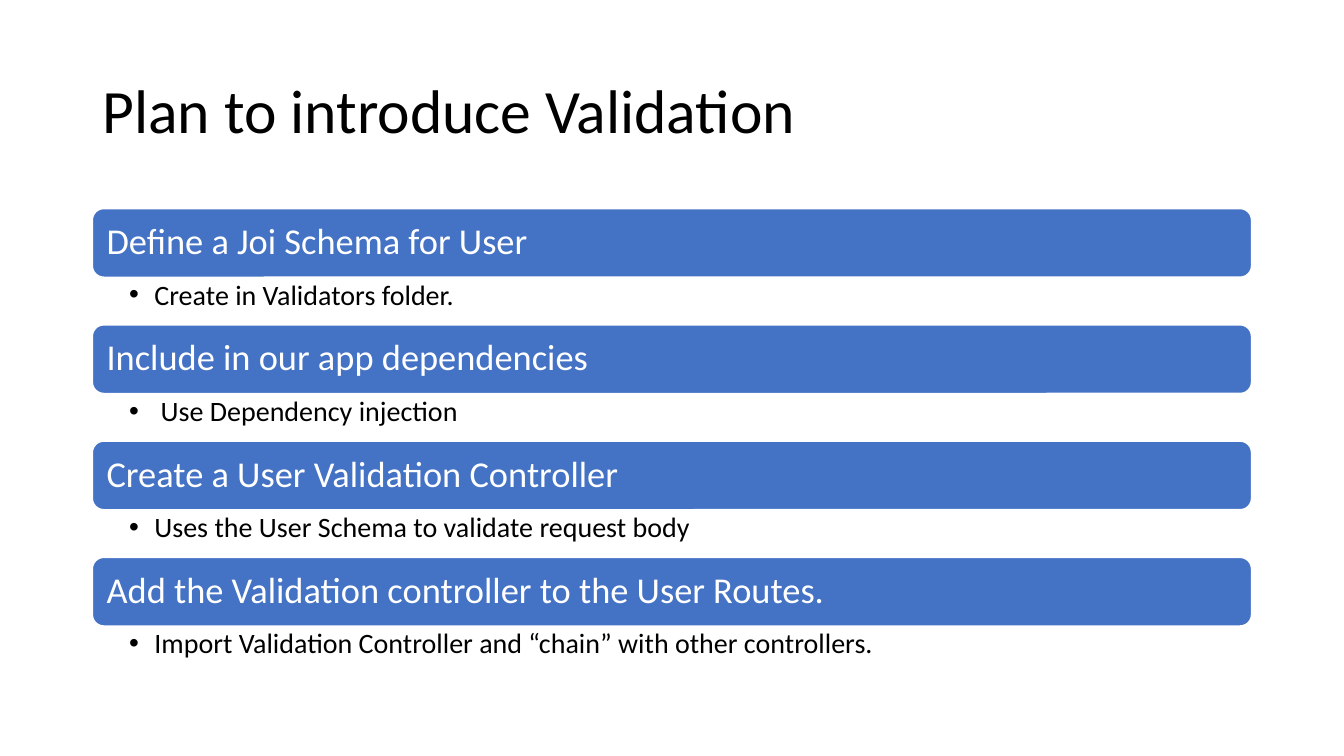
from dataclasses import dataclass

from lxml.etree import SubElement
from pptx import Presentation
from pptx.dml.color import RGBColor
from pptx.enum.shapes import MSO_SHAPE
from pptx.enum.text import MSO_ANCHOR, PP_ALIGN
from pptx.oxml.ns import qn
from pptx.util import Pt


@dataclass(frozen=True)
class Theme:
    font: str = "Calibri"
    ink: RGBColor = RGBColor(0x00, 0x00, 0x00)
    paper: RGBColor = RGBColor(0xFF, 0xFF, 0xFF)
    bar: RGBColor = RGBColor(0x44, 0x72, 0xC4)
    title_size: int = 44
    step_size: int = 26
    detail_size: int = 20


THEME = Theme()

LEFT, WIDTH = 66, 828
STEPS_TOP, STEP_PITCH = 149, 83.04
BAR_HEIGHT, DETAIL_HEIGHT = 49, 34

STEPS = [
    ("Define a Joi Schema for User", "Create in Validators folder."),
    ("Include in our app dependencies", " Use Dependency injection"),
    ("Create a User Validation Controller",
     "Uses the User Schema to validate request body"),
    ("Add the Validation controller to the User Routes.",
     "Import Validation Controller and “chain” with other controllers."),
]


def write(shape, text, size, color, anchor, insets):
    """Fill the shape with one left-aligned paragraph and return it."""
    frame = shape.text_frame
    frame.text = text
    frame.word_wrap = True
    frame.vertical_anchor = anchor
    frame.margin_left, frame.margin_top, frame.margin_right, frame.margin_bottom = map(Pt, insets)
    para = frame.paragraphs[0]
    para.alignment = PP_ALIGN.LEFT
    para.line_spacing = 0.9
    for span in para.runs:
        span.font.name = THEME.font
        span.font.size = Pt(size)
        span.font.color.rgb = color
    return para


def add_bullet(para, indent):
    properties = para._p.get_or_add_pPr()
    properties.set("marL", str(Pt(indent)))
    properties.set("indent", str(Pt(-indent)))
    SubElement(properties, qn("a:buFont"), typeface="Arial")
    SubElement(properties, qn("a:buChar"), char="•")


def place_title(page, text):
    title = page.shapes.title
    title.left, title.top, title.width, title.height = Pt(LEFT), Pt(29), Pt(WIDTH), Pt(104.4)
    write(title, text, THEME.title_size, THEME.ink, MSO_ANCHOR.MIDDLE, (7.2, 3.6, 7.2, 3.6))


def add_step_bar(page, top, text):
    bar = page.shapes.add_shape(
        MSO_SHAPE.ROUNDED_RECTANGLE, Pt(LEFT), Pt(top), Pt(WIDTH), Pt(BAR_HEIGHT))
    bar.shadow.inherit = False
    bar.fill.solid()
    bar.fill.fore_color.rgb = THEME.bar
    bar.line.color.rgb = THEME.paper
    bar.line.width = Pt(1)
    write(bar, text, THEME.step_size, THEME.paper, MSO_ANCHOR.MIDDLE, (7.8, 7.8, 7.8, 7.8))


def add_detail(page, top, text):
    box = page.shapes.add_textbox(Pt(LEFT), Pt(top), Pt(WIDTH), Pt(DETAIL_HEIGHT))
    para = write(box, text, THEME.detail_size, THEME.ink, MSO_ANCHOR.TOP, (26.3, 2.6, 14.4, 2.6))
    add_bullet(para, 18)


def main():
    deck = Presentation()
    deck.slide_width, deck.slide_height = Pt(960), Pt(540)
    page = deck.slides.add_slide(deck.slide_layouts.get_by_name("Title Only"))
    place_title(page, "Plan to introduce Validation")
    for index, (step, detail) in enumerate(STEPS):
        top = STEPS_TOP + index * STEP_PITCH
        add_step_bar(page, top, step)
        add_detail(page, top + BAR_HEIGHT, detail)
    deck.save("out.pptx")


if __name__ == "__main__":
    main()
